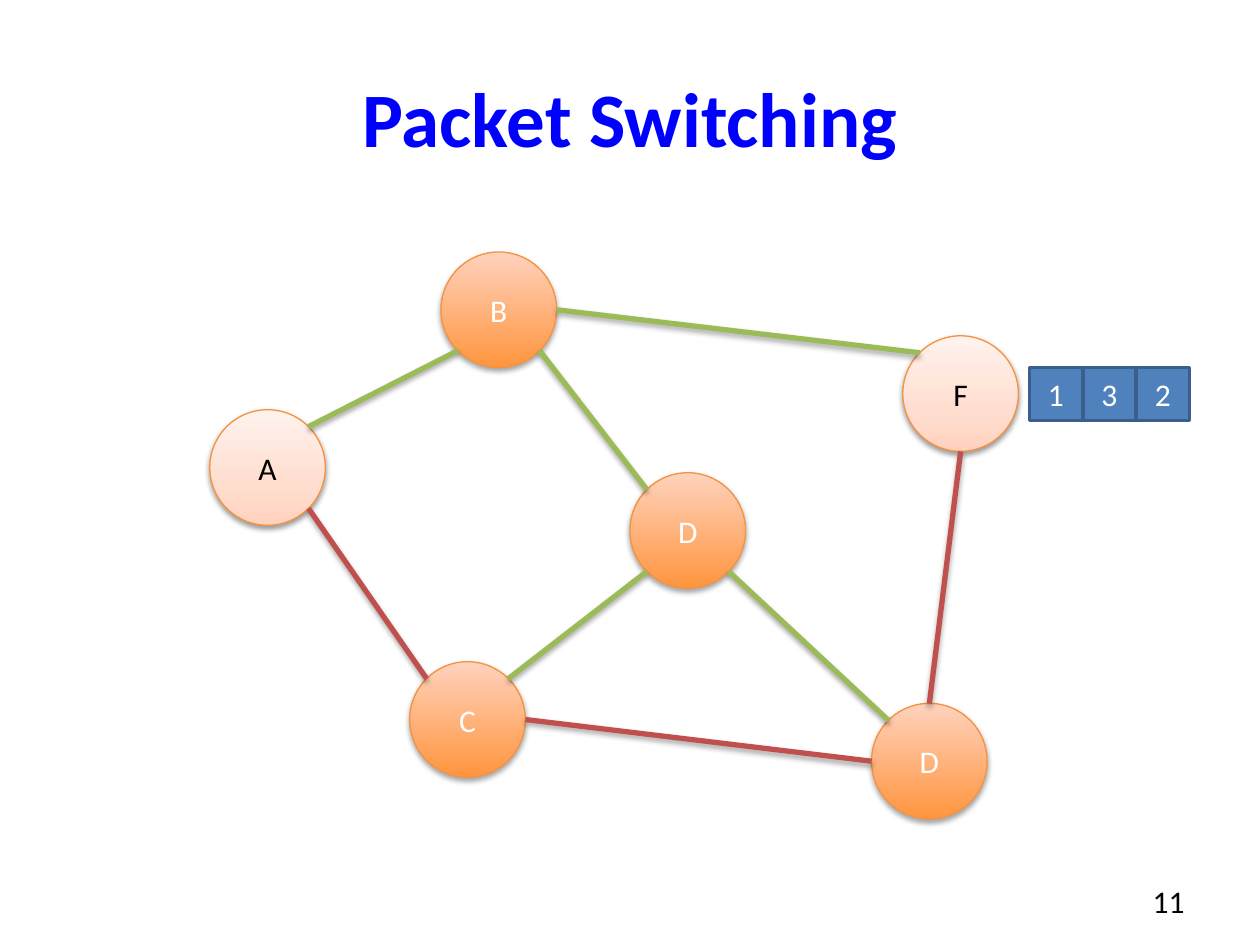
import math
from lxml import etree
from pptx import Presentation
from pptx import util as u
from pptx.dml import color
from pptx.enum import shapes, text
from pptx.oxml import ns

CIRCLE = 2.33
PACKET = 1.07
ORANGE = [(0, "FF953E"), (100, "FFD2BD")]
PALE = [(0, "FFD2BD"), (35, "FFDED0"), (100, "FFF2ED")]
GREEN, RED = "9BBB59", "C0504D"
RIGHT, LOWER_RIGHT, BOTTOM, LOWER_LEFT = 0, 45, 90, 135
LEFT, UPPER_LEFT, TOP, UPPER_RIGHT = 180, 225, 270, 315


def rgb(value):
    return color.RGBColor.from_string(value)


def apply(target, values):
    for name, value in values.items():
        setattr(target, name, value)


def add(parent, tag, **attrs):
    return etree.SubElement(parent, ns.qn(tag), attrs)


class Deck:
    font = {"name": "Calibri", "size": u.Pt(18), "bold": False}
    frame = {"word_wrap": True, "vertical_anchor": text.MSO_ANCHOR.MIDDLE}

    def __init__(self, width, height):
        self.prs = Presentation()
        apply(self.prs, {"slide_width": u.Cm(width), "slide_height": u.Cm(height)})
        self.s = self.prs.slides.add_slide(self.prs.slide_layouts[6])

    def put_text(self, sp, words, ink, align=text.PP_ALIGN.CENTER, frame=None, **font):
        tf = sp.text_frame
        apply(tf, {**self.frame, **(frame or {})})
        p = tf.paragraphs[0]
        p.alignment = align
        r = p.add_run()
        r.text = words
        apply(r.font, {**self.font, **font})
        r.font.color.rgb = rgb(ink)

    def label(self, words, box, ink, **style):
        sp = self.s.shapes.add_textbox(*map(u.Cm, box))
        self.put_text(sp, words, ink, **style)

    def outline(self, sp, ink, width):
        sp.line.color.rgb = rgb(ink)
        sp.line.width = u.Pt(width)

    def shadow(self, sp, alpha=35, dist=1.8):
        effects = add(sp.element.spPr, "a:effectLst")
        shade = add(effects, "a:outerShdw", blurRad=str(u.Pt(3.1)),
                    dist=str(u.Pt(dist)), dir="5400000", rotWithShape="0")
        ink = add(shade, "a:srgbClr", val="000000")
        add(ink, "a:alpha", val=str(alpha * 1000))

    def gradient(self, sp, stops):
        grad = etree.Element(ns.qn("a:gradFill"), rotWithShape="1")
        gs_list = add(grad, "a:gsLst")
        for pos, ink in stops:
            gs = add(gs_list, "a:gs", pos=str(pos * 1000))
            add(gs, "a:srgbClr", val=ink)
        add(grad, "a:lin", ang="16200000", scaled="0")
        sp.element.spPr.insert(2, grad)

    def node(self, name, left, top, end_host):
        sp = self.s.shapes.add_shape(
            shapes.MSO_SHAPE.OVAL, *map(u.Cm, (left, top, CIRCLE, CIRCLE)))
        self.gradient(sp, PALE if end_host else ORANGE)
        self.outline(sp, "F69240", 0.75)
        if end_host:
            self.shadow(sp, alpha=38, dist=1.6)
        else:
            self.shadow(sp)
        self.put_text(sp, name, "000000" if end_host else "FFFFFF")
        return sp

    def packet(self, number, left, top):
        sp = self.s.shapes.add_shape(
            shapes.MSO_SHAPE.RECTANGLE, *map(u.Cm, (left, top, PACKET, PACKET)))
        sp.fill.solid()
        sp.fill.fore_color.rgb = rgb("4F81BD")
        self.outline(sp, "3A5F8C", 2)
        sp.shadow.inherit = False
        self.put_text(sp, number, "FFFFFF")

    def rim(self, sp, degrees):
        angle = math.radians(degrees)
        radius = sp.width / 2
        return (round(sp.left + radius * (1 + math.cos(angle))),
                round(sp.top + radius * (1 + math.sin(angle))))

    def link(self, start, start_angle, end, end_angle, ink):
        sp = self.s.shapes.add_connector(
            shapes.MSO_CONNECTOR.STRAIGHT,
            *self.rim(start, start_angle), *self.rim(end, end_angle))
        self.outline(sp, ink, 3)
        self.shadow(sp)


def main():
    deck = Deck(25.4, 19.05)
    deck.label("Packet Switching", (1.27, 0.76, 22.86, 3.18), "0000FF",
               size=u.Pt(44), bold=True)

    a = deck.node("A", 4.23, 8.26, True)
    c = deck.node("C", 8.26, 13.34, False)
    b = deck.node("B", 8.89, 5.08, False)
    d = deck.node("D", 12.7, 9.53, False)
    f = deck.node("F", 18.2, 6.77, True)
    d_lower = deck.node("D", 17.57, 14.18, False)

    for i, number in reversed(list(enumerate("132"))):
        deck.packet(number, 20.75 + i * 1.08, 7.41)

    for link in (
        (a, UPPER_RIGHT, b, LOWER_LEFT, GREEN),
        (a, LOWER_RIGHT, c, UPPER_LEFT, RED),
        (d, LOWER_LEFT, c, UPPER_RIGHT, GREEN),
        (d, UPPER_LEFT, b, LOWER_RIGHT, GREEN),
        (f, UPPER_LEFT, b, RIGHT, GREEN),
        (d_lower, UPPER_LEFT, d, LOWER_RIGHT, GREEN),
        (d_lower, LEFT, c, RIGHT, RED),
        (f, BOTTOM, d_lower, TOP, RED),
    ):
        deck.link(*link)

    deck.label("11", (18.2, 17.65, 5.93, 1.02), "000000",
               align=text.PP_ALIGN.RIGHT,
               frame={"vertical_anchor": text.MSO_ANCHOR.TOP})
    deck.prs.save("out.pptx")


if __name__ == "__main__":
    main()
